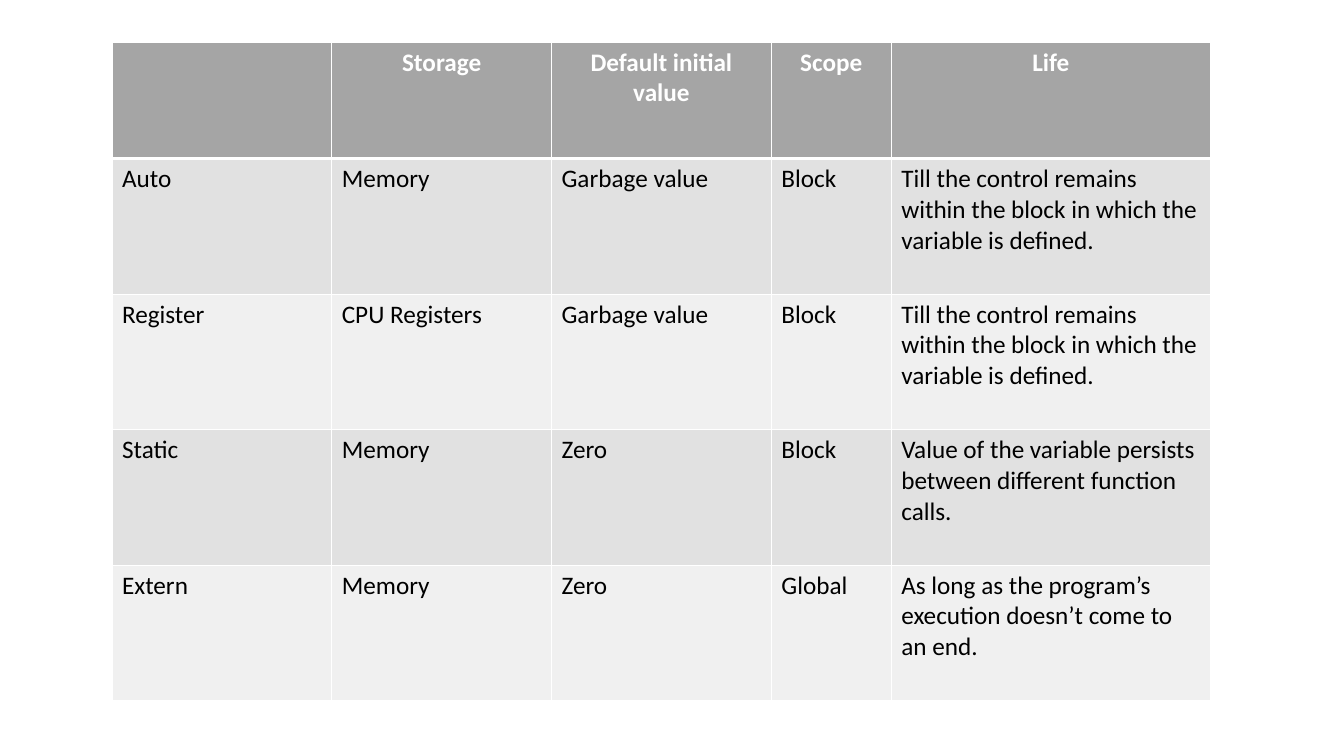
from lxml import etree
from pptx import Presentation
from pptx.dml.color import RGBColor
from pptx.enum.text import PP_ALIGN
from pptx.oxml.ns import qn
from pptx.util import Pt

LEFT, CENTER = PP_ALIGN.LEFT, PP_ALIGN.CENTER
WHITE = RGBColor(0xFF, 0xFF, 0xFF)
BLACK = RGBColor(0, 0, 0)
GRAY = RGBColor(0xA5, 0xA5, 0xA5)
BANDS = RGBColor(0xE1, 0xE1, 0xE1), RGBColor(0xF0, 0xF0, 0xF0)
FONT = "Calibri"

COLS = 157, 157, 157, 85.7, 228
HEAD = 83.3
WITHIN = "Till the control remains within the block in which the variable is defined."
ROWS = [
    ["", "Storage", "Default initial value", "Scope", "Life"],
    ["Auto", "Memory", "Garbage value", "Block", WITHIN],
    ["Register", "CPU Registers", "Garbage value", "Block", WITHIN],
    ["Static", "Memory", "Zero", "Block",
     "Value of the variable persists between different function calls."],
    ["Extern", "Memory", "Zero", "Global",
     "As long as the program’s execution doesn’t come to an end."],
]


def add_edge(cell, side, width):
    line = etree.SubElement(cell._tc.get_or_add_tcPr(), qn("a:ln" + side), w=str(Pt(width)))
    fill = etree.SubElement(line, qn("a:solidFill"))
    etree.SubElement(fill, qn("a:srgbClr"), val=str(WHITE))


def fill_cell(cell, text, row):
    head = row == 0
    # Borders: a thick rule parts the header from the body
    thick = {"B": 0, "T": 1}
    for side in "LRTB":
        add_edge(cell, side, 3 if thick.get(side) == row else 1)
    cell.fill.solid()
    cell.fill.fore_color.rgb = GRAY if head else BANDS[(row - 1) % 2]
    # Text
    if not text:
        return
    para = cell.text_frame.paragraphs[0]
    para.alignment = CENTER if head else LEFT
    run = para.add_run()
    run.text = text
    run.font.name = FONT
    run.font.size = Pt(18)
    run.font.bold = head
    run.font.color.rgb = WHITE if head else BLACK


def add_grid(slide, left, top, width, height):
    grid = slide.shapes.add_table(
        len(ROWS), len(COLS), Pt(left), Pt(top), Pt(width), Pt(height)).table
    # Column widths share the box; body rows split what the header leaves
    for col, part in zip(grid.columns, COLS):
        col.width = Pt(width * part / sum(COLS))
    body = (height - HEAD) / (len(ROWS) - 1)
    for i, texts in enumerate(ROWS):
        grid.rows[i].height = Pt(body if i else HEAD)
        for j, text in enumerate(texts):
            fill_cell(grid.cell(i, j), text, i)


def main():
    deck = Presentation()
    deck.slide_width, deck.slide_height = Pt(960), Pt(540)
    slide = deck.slides.add_slide(deck.slide_layouts[6])
    add_grid(slide, 80, 30, 784.7, 470.6)
    deck.save("out.pptx")


if __name__ == "__main__":
    main()
